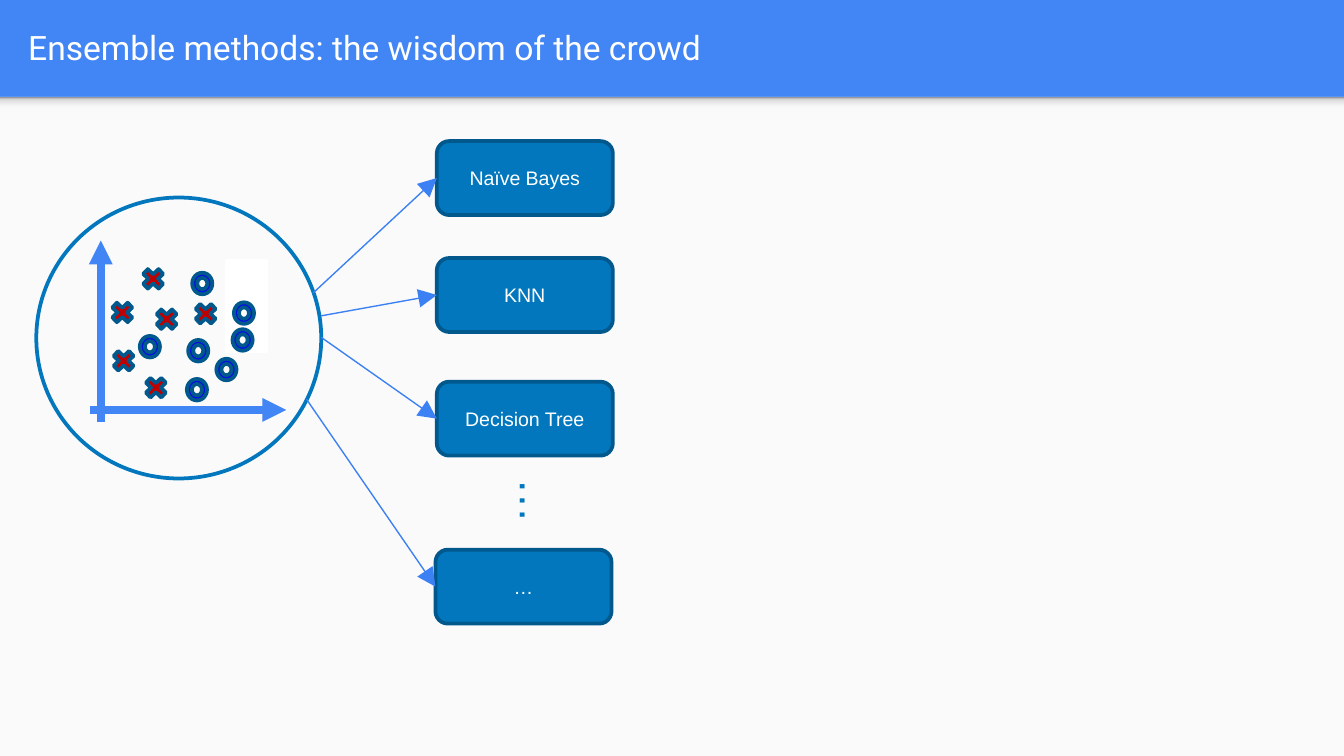
from lxml import etree
from pptx import Presentation
from pptx.dml.color import RGBColor
from pptx.enum.shapes import MSO_CONNECTOR as Connector, MSO_SHAPE as Shape
from pptx.enum.text import MSO_ANCHOR as Anchor, PP_ALIGN as Align
from pptx.oxml.ns import qn
from pptx.util import Inches, Pt

HEADER_BLUE = RGBColor(0x42, 0x85, 0xF4)
ARROW_BLUE = RGBColor(0x3C, 0x81, 0xF3)
BOX_BLUE = RGBColor(0x02, 0x77, 0xBD)
EDGE_BLUE = RGBColor(0x01, 0x58, 0x8C)
RING_BLUE = RGBColor(0x03, 0x0E, 0xE3)
CROSS_RED = RGBColor(0xC0, 0x00, 0x00)
PANEL_GREY = RGBColor(0xFA, 0xFA, 0xFA)
WHITE = RGBColor(0xFF, 0xFF, 0xFF)
SHADE_STOPS = [(0, "F9F9F9"), (36, "F9F9F9"), (80, "DEDEDE"), (100, "999999")]

CROSSES = [(0.53, 0.75), (0.86, 0.8), (0.54, 1.11), (0.76, 0.5), (0.78, 1.31), (1.15, 0.76)]
RINGS = [(0.77, 1.03), (1.13, 1.06), (1.12, 1.35), (1.34, 1.2), (1.46, 0.98), (1.16, 0.56), (1.47, 0.78)]
MODELS = [
    ("Naïve Bayes", 0.01, 0, (2.06, 0.71)),
    ("KNN", 0.01, 0.87, (2.12, 0.88)),
    ("Decision Tree", 0.01, 1.79, (2.12, 1.04)),
    ("…", 0, 3.04, (2.01, 1.5)),
]


def add_figure(shapes, kind, left, top, width, height, fill=None, line=None):
    figure = shapes.add_shape(kind, Inches(left), Inches(top), Inches(width), Inches(height))
    figure.shadow.inherit = False
    if fill is None:
        figure.fill.background()
    else:
        figure.fill.solid()
        figure.fill.fore_color.rgb = fill
    if line is None:
        figure.line.fill.background()
    else:
        figure.line.color.rgb = line
        figure.line.width = Pt(2)
    return figure


def add_arrow(shapes, start, end, color, weight, head="med"):
    points = [Inches(value) for value in (*start, *end)]
    arrow = shapes.add_connector(Connector.STRAIGHT, *points)
    arrow.line.color.rgb = color
    arrow.line.width = Pt(weight)
    outline = arrow._element.spPr.find(qn("a:ln"))
    etree.SubElement(outline, qn("a:tailEnd"), type="triangle", w=head, len=head)
    etree.SubElement(arrow._element.spPr, qn("a:effectLst"))
    return arrow


def style_text(shape, text, size, color, font="Arial", align=Align.CENTER):
    shape.text_frame.text = text
    para = shape.text_frame.paragraphs[0]
    para.alignment = align
    span = para.runs[0].font
    span.size, span.name, span.color.rgb = Pt(size), font, color


def add_background(page, top, width, height):
    page.background.fill.solid()
    page.background.fill.fore_color.rgb = HEADER_BLUE
    add_figure(page.shapes, Shape.RECTANGLE, 0, top, width, height, PANEL_GREY)
    shade = add_figure(page.shapes, Shape.RECTANGLE, 0, top, width, 0.12)
    shade.fill.gradient()
    shade.fill.gradient_angle = 90
    stops = shade._element.spPr.find(".//" + qn("a:gsLst"))
    for stop in list(stops):
        stops.remove(stop)
    for position, color in SHADE_STOPS:
        stop = etree.SubElement(stops, qn("a:gs"), pos=str(position * 1000))
        etree.SubElement(stop, qn("a:srgbClr"), val=color)


def add_title(page, left, top, width, height):
    title = page.shapes.title
    title.left, title.top = Inches(left), Inches(top)
    title.width, title.height = Inches(width), Inches(height)
    title.text_frame.vertical_anchor = Anchor.MIDDLE
    style_text(title, "Ensemble methods: the wisdom of the crowd", 18, WHITE, "Roboto", Align.LEFT)


def add_data_circle(page, left, top, width, height):
    add_figure(page.shapes, Shape.RECTANGLE, left + 1.42, top + 0.47, 0.29, 0.67, WHITE, WHITE)
    plot = page.shapes.add_group_shape().shapes
    for start, end in [((0.48, 1.67), (0.48, 0.32)), ((0.4, 1.58), (1.86, 1.58))]:
        add_arrow(plot, (left + start[0], top + start[1]), (left + end[0], top + end[1]), HEADER_BLUE, 4.25)
    for x, y in CROSSES:
        add_figure(plot, Shape.MATH_MULTIPLY, left + x, top + y, 0.22, 0.21, CROSS_RED, EDGE_BLUE)
    for x, y in RINGS:
        add_figure(plot, Shape.DONUT, left + x, top + y, 0.15, 0.16, RING_BLUE, EDGE_BLUE)
    add_figure(page.shapes, Shape.OVAL, left, top, width, height, line=BOX_BLUE)


def add_models(page, left, top, width, height, circle_left, circle_top):
    for name, x, y, (start_x, start_y) in MODELS:
        box = add_figure(page.shapes, Shape.ROUNDED_RECTANGLE, left + x, top + y, width, height, BOX_BLUE, EDGE_BLUE)
        box.text_frame.vertical_anchor = Anchor.MIDDLE
        style_text(box, name, 10.5, WHITE)
        start = (circle_left + start_x, circle_top + start_y)
        arrow = add_arrow(page.shapes, start, (left + x, top + y + height / 2), ARROW_BLUE, 0.75, "lg")
        arrow.end_connect(box, 1)
    dots = page.shapes.add_textbox(Inches(left + 0.49), Inches(top + 2.43), Inches(0.54), Inches(0.5))
    dots.rotation = 90
    dots.text_frame.word_wrap = False
    style_text(dots, "…", 24, BOX_BLUE)


def main():
    deck = Presentation()
    deck.slide_width = Inches(10)
    deck.slide_height = deck.slide_width * 9 // 16
    page = deck.slides.add_slide(deck.slide_layouts[5])
    add_background(page, 0.72, 10, 4.91)
    add_title(page, 0.11, 0.02, 9.65, 0.66)
    add_data_circle(page, 0.27, 1.47, 2.12, 2.09)
    add_models(page, 3.24, 1.05, 1.31, 0.55, 0.27, 1.47)
    deck.save("out.pptx")


if __name__ == "__main__":
    main()
